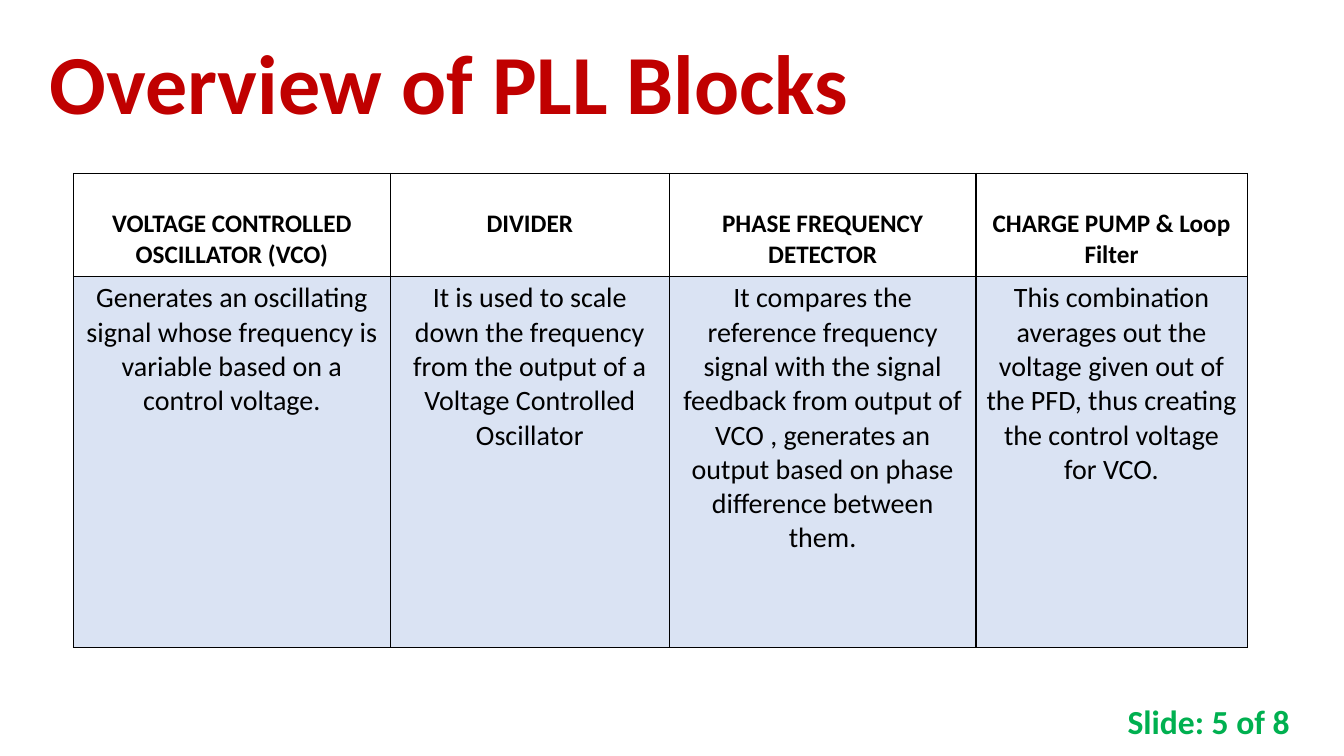
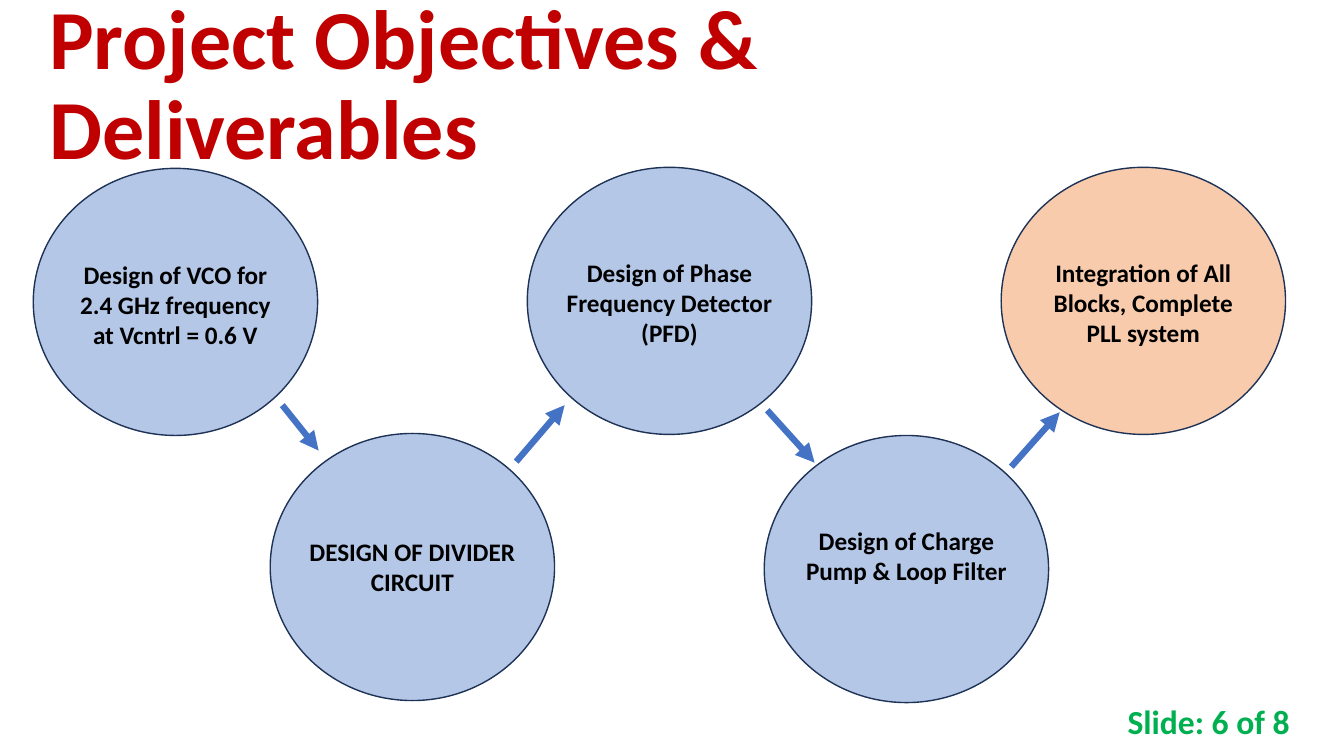
from dataclasses import dataclass

from lxml import etree
from pptx import Presentation
from pptx.dml.color import RGBColor
from pptx.enum import shapes, text
from pptx.oxml import ns
from pptx.util import Inches, Pt

# Shared style
FONT = "Calibri"
TOTAL = 8
COLORS = {
    "title": "C00000",
    "footer": "00B050",
    "text": "000000",
    "cell": "DAE3F3",
    "step": "B4C7E7",
    "goal": "F8CBAD",
    "outline": "1E3256",
    "arrow": "4472C4",
}


@dataclass
class Block:
    name: str
    role: str
    width: float


@dataclass
class Step:
    label: str
    left: float
    top: float
    label_top: float
    label_height: float = 1.01
    color: str = "step"


@dataclass
class Arrow:
    x1: float
    y1: float
    x2: float
    y2: float


BLOCKS = [
    Block("VOLTAGE CONTROLLED OSCILLATOR (VCO)",
          "Generates an oscillating signal whose frequency is variable "
          "based on a control voltage.", 3.14),
    Block("DIVIDER",
          "It is used to scale down the frequency from the output of a "
          "Voltage Controlled Oscillator", 2.77),
    Block("PHASE FREQUENCY DETECTOR",
          "It compares the reference frequency signal with the signal feedback "
          "from output of VCO , generates an output based on phase difference "
          "between them.", 3.04),
    Block("CHARGE PUMP & Loop Filter",
          "This combination averages out the voltage given out of the PFD, "
          "thus creating the control voltage for VCO.", 2.69),
]
HEADER_H, BODY_H = 1.02, 3.68

OVAL_W, OVAL_H = 2.82, 2.65
LABEL_W = 2.33
STEPS = [
    Step("Design of VCO for 2.4 GHz frequency at Vcntrl = 0.6 V", 0.33, 1.67, 2.52),
    Step("DESIGN OF DIVIDER\nCIRCUIT", 2.68, 4.3, 5.27, 0.71),
    Step("Design of Phase Frequency Detector\n(PFD)", 5.23, 1.66, 2.5),
    Step("Design of Charge Pump & Loop Filter", 7.58, 4.32, 5.16, 0.71),
    Step("Integration of All Blocks, Complete PLL system", 9.93, 1.66, 2.5, color="goal"),
]
ARROWS = [
    Arrow(2.8, 4.02, 3.16, 4.47),
    Arrow(5.12, 4.58, 5.6, 4.02),
    Arrow(7.61, 4.07, 8.08, 4.59),
    Arrow(10.03, 4.63, 10.51, 4.09),
]


def rgb(name: str) -> RGBColor:
    return RGBColor.from_string(COLORS[name])


def write(tf, content: str, *, size: float, color: str = "text", bold: bool = True,
          align=text.PP_ALIGN.CENTER, spacing: float = 1.0) -> None:
    """Fill a text frame, one paragraph for each line of content."""
    tf.word_wrap = True
    for i, line in enumerate(content.split("\n")):
        p = tf.add_paragraph() if i else tf.paragraphs[0]
        p.alignment = align
        p.line_spacing = spacing
        r = p.add_run()
        r.text = line
        r.font.name = FONT
        r.font.size = Pt(size)
        r.font.bold = bold
        r.font.color.rgb = rgb(color)


def add_text(s, content: str, left: float, top: float, width: float, height: float,
             *, anchor=text.MSO_ANCHOR.TOP, **style) -> None:
    box = s.shapes.add_textbox(Inches(left), Inches(top), Inches(width), Inches(height))
    box.text_frame.vertical_anchor = anchor
    write(box.text_frame, content, **style)


def add_slide(prs, title: str, number: int):
    """Add a blank slide with the shared title and page counter."""
    s = prs.slides.add_slide(prs.slide_layouts[6])
    middle = text.MSO_ANCHOR.MIDDLE
    add_text(s, title, 0.39, 0.14, 11.5, 1.45, anchor=middle, size=60,
             color="title", align=text.PP_ALIGN.LEFT, spacing=0.9)
    add_text(s, f"Slide: {number} of {TOTAL}", 9.59, 6.95, 3.3, 0.4, anchor=middle,
             size=24, color="footer", align=text.PP_ALIGN.RIGHT)
    return s


def add_borders(cell) -> None:
    tc_pr = cell._tc.get_or_add_tcPr()
    for side in ("lnL", "lnR", "lnT", "lnB"):
        ln = etree.SubElement(tc_pr, ns.qn(f"a:{side}"), w=str(Pt(1)))
        fill = etree.SubElement(ln, ns.qn("a:solidFill"))
        etree.SubElement(fill, ns.qn("a:srgbClr"), val=COLORS["text"])


def add_block_table(s, left: float, top: float) -> None:
    width = sum(b.width for b in BLOCKS)
    frame = s.shapes.add_table(2, len(BLOCKS), Inches(left), Inches(top),
                               Inches(width), Inches(HEADER_H + BODY_H))
    table = frame.table
    table.first_row = table.horz_banding = False
    table.rows[0].height = Inches(HEADER_H)
    table.rows[1].height = Inches(BODY_H)
    for col, block in enumerate(BLOCKS):
        table.columns[col].width = Inches(block.width)
        head, body = table.cell(0, col), table.cell(1, col)
        for cell in (head, body):
            add_borders(cell)
        head.fill.background()
        head.margin_top = Inches(0.35)
        write(head.text_frame, block.name, size=18)
        body.fill.solid()
        body.fill.fore_color.rgb = rgb("cell")
        write(body.text_frame, block.role, size=20, bold=False)


def add_step(s, step: Step) -> None:
    sp = s.shapes.add_shape(shapes.MSO_SHAPE.OVAL, Inches(step.left), Inches(step.top),
                            Inches(OVAL_W), Inches(OVAL_H))
    sp.shadow.inherit = False
    sp.fill.solid()
    sp.fill.fore_color.rgb = rgb(step.color)
    sp.line.color.rgb = rgb("outline")
    sp.line.width = Pt(1)
    add_text(s, step.label, step.left + (OVAL_W - LABEL_W) / 2, step.label_top,
             LABEL_W, step.label_height, size=18)


def add_arrow(s, arrow: Arrow) -> None:
    line = s.shapes.add_connector(shapes.MSO_CONNECTOR.STRAIGHT,
                                  Inches(arrow.x1), Inches(arrow.y1),
                                  Inches(arrow.x2), Inches(arrow.y2))
    line.line.color.rgb = rgb("arrow")
    line.line.width = Pt(4.5)
    etree.SubElement(line.line._get_or_add_ln(), ns.qn("a:tailEnd"), type="triangle")
    etree.SubElement(line._element.spPr, ns.qn("a:effectLst"))


def main() -> None:
    prs = Presentation()
    prs.slide_width, prs.slide_height = Inches(13.33), Inches(7.5)

    # Table of blocks
    s = add_slide(prs, "Overview of PLL Blocks", 5)
    add_block_table(s, 0.73, 1.72)

    # Zigzag of design steps
    s = add_slide(prs, "Project Objectives & Deliverables", 6)
    for step in STEPS:
        add_step(s, step)
    for arrow in ARROWS:
        add_arrow(s, arrow)

    prs.save("out.pptx")


if __name__ == "__main__":
    main()
